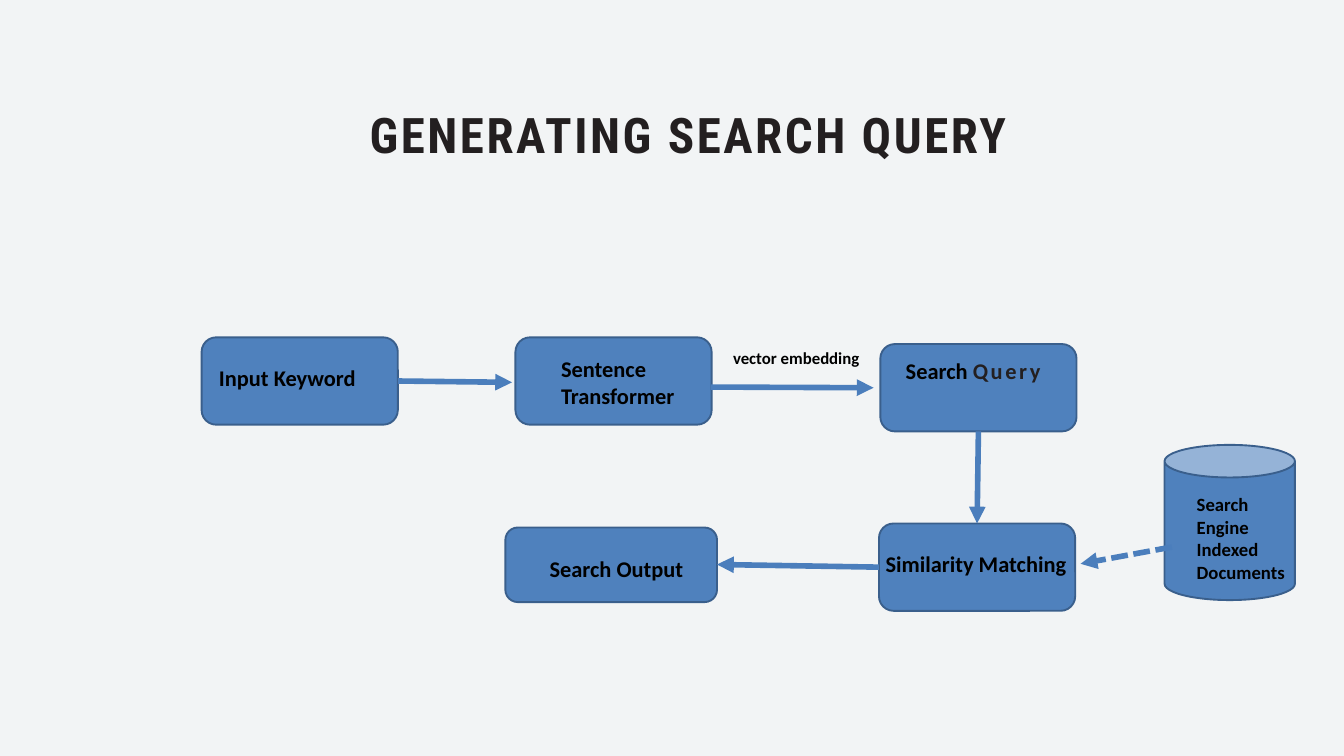
from lxml.etree import SubElement
from pptx import Presentation
from pptx.dml.color import RGBColor
from pptx.enum.dml import MSO_LINE_DASH_STYLE as Dash
from pptx.enum.shapes import MSO_CONNECTOR as Connector, MSO_SHAPE as Shape
from pptx.enum.text import MSO_ANCHOR as Anchor, MSO_AUTO_SIZE as AutoSize, PP_ALIGN as Align
from pptx.oxml.ns import qn
from pptx.util import Inches, Pt

COLUMNS, ROWS = 20, 11.25
TITLE_ONLY = 5


def color(hex_string):
    return RGBColor.from_string(hex_string)


class Diagram:
    background, ink, black = "F2F4F5", "231F20", "000000"
    node_fill, node_line, arrow_line = "4F81BD", "3A5F8C", "4B7EBC"
    title_font, body_font = "Roboto Condensed", "Calibri"
    tracking = 2.8
    node_size = (2.92, 1.3)

    def __init__(self, deck):
        self.column = deck.slide_width / COLUMNS
        self.row = deck.slide_height / ROWS
        self.page = deck.slides.add_slide(deck.slide_layouts[TITLE_ONLY])
        fill = self.page.background.fill
        fill.solid()
        fill.fore_color.rgb = color(self.background)

    def place(self, *lengths):
        """Turn alternating columns and rows into slide units."""
        return [round(length * (self.row if i % 2 else self.column))
                for i, length in enumerate(lengths)]

    def add_span(self, para, words, size, font, ink, tracking=0):
        span = para.add_run()
        span.text = words
        span.font.name = font
        span.font.size = Pt(size)
        span.font.bold = True
        span.font.color.rgb = color(ink)
        if tracking:
            span._r.get_or_add_rPr().set("spc", str(round(tracking * 100)))

    def title(self, words, area):
        box = self.page.shapes.title
        box.left, box.top, box.width, box.height = self.place(*area)
        frame = box.text_frame
        frame.margin_left = frame.margin_right = 0
        frame.margin_top = frame.margin_bottom = 0
        frame.vertical_anchor = Anchor.TOP
        frame.auto_size = AutoSize.SHAPE_TO_FIT_TEXT
        para = frame.paragraphs[0]
        para.alignment = Align.CENTER
        para.line_spacing = Pt(72.4)
        self.add_span(para, words, 52.5, self.title_font, self.ink, self.tracking)

    def label(self, words, area, size=24, tracked="", group=None):
        """Add a text box; the tracked words follow in wide-set ink."""
        box = (group or self.page).shapes.add_textbox(*self.place(*area))
        frame = box.text_frame
        frame.word_wrap = True
        frame.auto_size = AutoSize.SHAPE_TO_FIT_TEXT
        para = frame.paragraphs[0]
        self.add_span(para, words, size, self.body_font, self.black)
        if tracked:
            self.add_span(para, tracked, size, self.body_font, self.ink, self.tracking)

    def block(self, kind, area, group=None):
        shape = (group or self.page).shapes.add_shape(kind, *self.place(*area))
        shape.shadow.inherit = False
        shape.fill.solid()
        shape.fill.fore_color.rgb = color(self.node_fill)
        shape.line.color.rgb = color(self.node_line)
        shape.line.width = Pt(2)

    def node(self, corner, words, label_area, tracked=""):
        """Group a rounded block with its label."""
        group = self.page.shapes.add_group_shape()
        self.block(Shape.ROUNDED_RECTANGLE, (*corner, *self.node_size), group)
        self.label(words, label_area, tracked=tracked, group=group)

    def arrow(self, start, end, dashed=False):
        connector = self.page.shapes.add_connector(
            Connector.STRAIGHT, *self.place(*start, *end))
        connector.line.color.rgb = color(self.arrow_line)
        connector.line.width = Pt(6)
        if dashed:
            connector.line.dash_style = Dash.SQUARE_DOT
        line = connector.line._get_or_add_ln()
        SubElement(line, qn("a:tailEnd")).set("type", "triangle")
        SubElement(connector._element.spPr, qn("a:effectLst"))


def main():
    deck = Presentation()
    deck.slide_width, deck.slide_height = Inches(20), Inches(11.25)
    diagram = Diagram(deck)
    diagram.title("GENERATING SEARCH QUERY", (3.16, 1.43, 14.17, 0.93))

    diagram.node((3, 5.02), "Input Keyword", (3.16, 5.37, 2.51, 0.5))
    diagram.node((7.67, 5.02), "Sentence Transformer", (8.25, 5.24, 2.71, 0.91))
    diagram.label("vector embedding", (10.81, 5.12, 2.33, 0.4), size=18)
    diagram.node((13.1, 5.12), "Search ", (13.38, 5.27, 2.58, 0.5), tracked="Query")
    diagram.node((13.08, 7.79), "Similarity Matching", (13.08, 8.14, 3, 0.5))

    diagram.arrow((5.92, 5.67), (7.62, 5.69))
    diagram.arrow((10.58, 5.76), (13, 5.77))
    diagram.arrow((14.56, 6.42), (14.54, 7.79))

    diagram.block(Shape.ROUNDED_RECTANGLE, (7.52, 7.85, 3.15, 1.11))
    diagram.label("Search Output", (8.08, 8.21, 2.5, 0.5))
    diagram.arrow((13.08, 8.44), (10.67, 8.4))

    diagram.block(Shape.CAN, (17.33, 6.62, 1.94, 2.31))
    diagram.arrow((17.44, 8.14), (16.08, 8.39), dashed=True)
    diagram.label("Search Engine Indexed Documents", (17.71, 7.29, 1.56, 1.45), size=20)

    deck.save("out.pptx")


if __name__ == "__main__":
    main()
